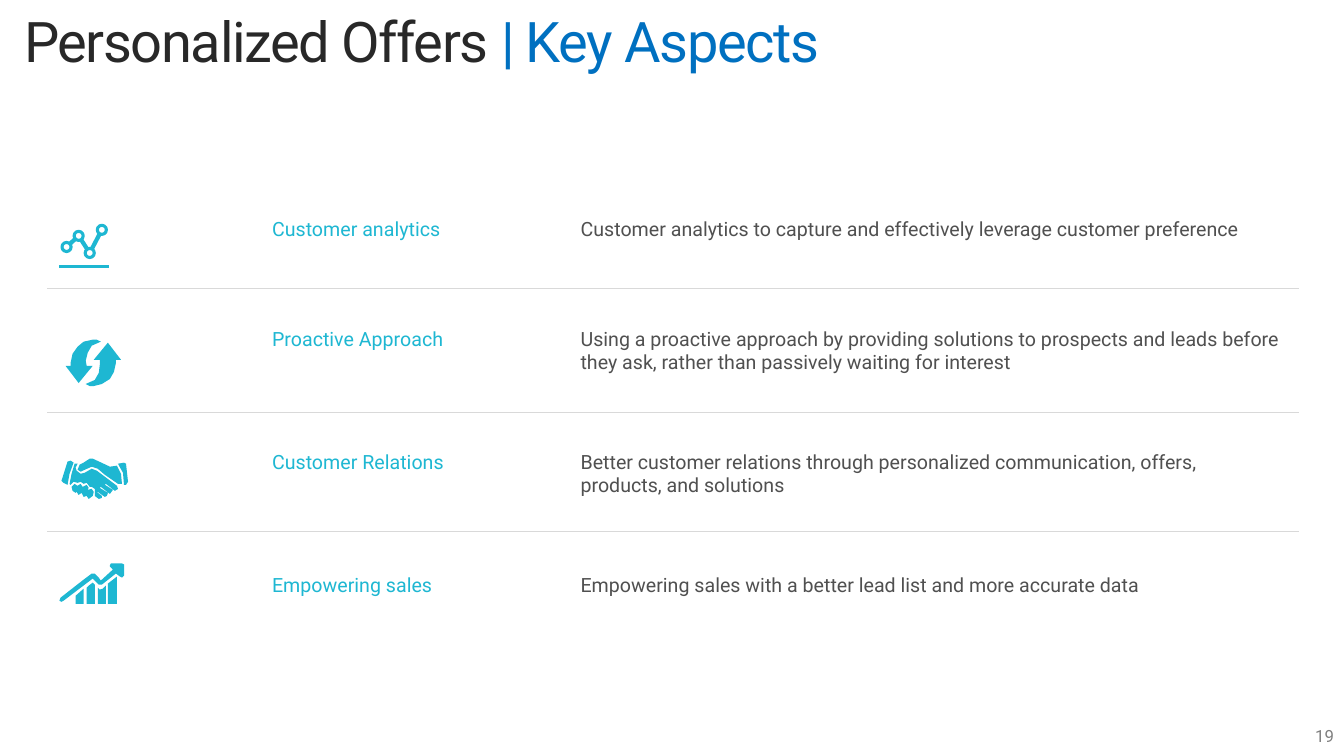
from pptx import Presentation
from pptx import util as u
from pptx.dml.color import RGBColor
from pptx.enum import shapes, text
from pptx.oxml.ns import qn
from lxml import etree

INK = {"head": "282828", "blue": "0070C0", "teal": "1EB7D2", "body": "505050",
       "rule": "D9D9D9", "page": "808080", "white": "FFFFFF"}

# Icon outlines, in hundredths of an inch from the icon's corner
TURN = [(21, 26), (20.5, 20.6), (21.6, 13.2), (25.9, 6.3), (35, 2), (31, 0.5), (27, 0),
        (18.5, 1.9), (11.5, 7), (6.8, 14.3), (5, 23), (5, 26), (0, 26), (13, 43), (27, 26)]
CYCLE = [TURN, [(55 - x, 46 - y) for x, y in TURN]]
HANDS = [
    # palm
    [(55, 27), (35, 12), (30, 10), (23, 14), (19, 15), (15, 12), (14, 9), (16, 5), (13, 5),
     (10, 15), (8, 25), (9, 26), (12, 23), (16, 24), (19, 23), (22, 25), (25, 24), (28, 28),
     (30, 28), (33, 30), (33, 37), (37, 40), (40, 39), (40, 37), (35, 33), (36, 33), (43, 38),
     (45, 37), (46, 34), (38, 29), (39, 28), (48, 35), (51, 31), (43, 26), (44, 25), (53, 32),
     (56, 30)],
    # upper hand
    [(48, 8), (46, 7), (31, 0), (28, 0), (22, 4), (18, 6), (16, 11), (19, 13), (21, 12),
     (30, 8), (36, 10), (43, 16), (56, 25), (60, 25), (59, 15), (55, 7)],
    # fingers
    [(30, 30), (26, 31), (27, 29), (25, 26), (21, 28), (19, 25), (16, 27), (13, 25), (10, 28),
     (11, 32), (14, 34), (15, 33), (17, 36), (20, 34), (22, 38), (25, 37), (27, 40), (31, 37),
     (32, 33)],
    # cuffs
    [(66, 23), (64, 5), (62, 4), (56, 5), (61, 14), (62, 26), (64, 26)],
    [(12, 4), (9, 2), (6, 3), (0, 22), (2, 24), (6, 26), (8, 15)],
]
GROWTH = [
    # bars
    [(16, 32), (16, 40), (24, 40), (24, 25)],
    [(27, 24), (27, 40), (35, 40), (35, 21), (33, 19), (29, 22)],
    [(38, 24), (38, 40), (46, 40), (46, 22), (43, 25), (40, 25.5)],
    [(48, 20), (48, 40), (57, 40), (57, 13)],
    # rising arrow
    [(64, 1), (62, 0), (51, 0), (50, 2), (50, 3), (53, 6), (41, 17), (39, 14), (35, 10),
     (32, 10), (24, 16), (1, 34), (0, 37), (2, 38), (4, 37), (33, 15), (39, 21), (42, 21),
     (56, 10), (60, 13), (62, 14), (64, 12)],
]
NODES = [(0.07, 0.23), (0.19, 0.12), (0.3, 0.29), (0.42, 0.06)]


def tint(name):
    return RGBColor.from_string(INK[name])


def write(slide, box, runs, size, frame=None, para=None, spc=None):
    area = slide.shapes.add_textbox(*map(u.Inches, box)).text_frame
    for key, val in {"word_wrap": True, **(frame or {})}.items():
        setattr(area, key, val)
    line = area.paragraphs[0]
    for key, val in (para or {}).items():
        setattr(line, key, val)
    for words, ink in runs:
        run = line.add_run()
        run.text = words
        for key, val in {"name": "Roboto", "size": u.Pt(size)}.items():
            setattr(run.font, key, val)
        run.font.color.rgb = tint(ink)
        if spc:
            run._r.get_or_add_rPr().set("spc", str(spc))


def rule(slide, start, end, ink, width):
    line = slide.shapes.add_connector(shapes.MSO_CONNECTOR.STRAIGHT,
                                      *map(u.Inches, (*start, *end)))
    line.line.color.rgb = tint(ink)
    line.line.width = u.Pt(width)
    etree.SubElement(line._element.spPr, qn("a:effectLst"))


def outline(slide, left, top, parts):
    for first, *rest in parts:
        pen = slide.shapes.build_freeform(*first, scale=u.Inches(0.01))
        pen.add_line_segments(rest, close=True)
        shape = pen.convert_to_shape(u.Inches(left), u.Inches(top))
        shape.shadow.inherit = False
        shape.fill.solid()
        shape.fill.fore_color.rgb = tint("teal")
        shape.line.fill.background()


def graph(slide, left, top):
    dots = [(left + x, top + y) for x, y in NODES]
    for start, end in zip(dots, dots[1:]):
        rule(slide, start, end, "teal", 3)
    for x, y in dots:
        dot = slide.shapes.add_shape(shapes.MSO_SHAPE.OVAL, u.Inches(x - 0.045),
                                     u.Inches(y - 0.045), u.Inches(0.09), u.Inches(0.09))
        dot.shadow.inherit = False
        dot.fill.solid()
        dot.fill.fore_color.rgb = tint("white")
        dot.line.color.rgb = tint("teal")
        dot.line.width = u.Pt(2.2)
    rule(slide, (left, top + 0.42), (left + 0.49, top + 0.42), "teal", 2.2)


def title(slide, box):
    write(slide, box, [("Personalized Offers ", "head"), ("| Key Aspects", "blue")], 40,
          {"vertical_anchor": text.MSO_ANCHOR.MIDDLE}, {"line_spacing": 0.9}, spc=-100)


def aspect(slide, left, top, name, words, width, tall, icon, spot):
    fit = {"auto_size": text.MSO_AUTO_SIZE.SHAPE_TO_FIT_TEXT}
    write(slide, (left + 2.13, top, 2.03, 0.34), [(name, "teal")], 14, fit)
    write(slide, (left + 5.19, top, width, tall), [(words, "body")], 14, fit)
    x, y = left + spot[0], top + spot[1]
    if icon:
        outline(slide, x, y, icon)
    else:
        graph(slide, x, y)


def table(slide, left, wide):
    # Each row: top, name, text, text width and height, icon, icon offset
    rows = [
        (2.1, "Customer analytics",
         "Customer analytics to capture and effectively leverage customer preference",
         7.19, 0.34, None, (0.12, 0.12)),
        (3.19, "Proactive Approach",
         "Using a proactive approach by providing solutions to prospects and leads before "
         "they ask, rather than passively waiting for interest",
         7.19, 0.57, CYCLE, (0.18, 0.18)),
        (4.41, "Customer Relations",
         "Better customer relations through personalized communication, offers, "
         "products, and solutions",
         6.96, 0.57, HANDS, (0.14, 0.14)),
        (5.63, "Empowering sales",
         "Empowering sales with a better lead list and more accurate data",
         6.96, 0.34, GROWTH, (0.12, -0.04)),
    ]
    for row in rows:
        aspect(slide, left, *row)
    for y in (2.86, 4.09, 5.27):
        rule(slide, (left, y), (left + wide, y), "rule", 0.75)


def number(slide, box):
    write(slide, box, [("19", "page")], 12, {"vertical_anchor": text.MSO_ANCHOR.MIDDLE},
          {"alignment": text.PP_ALIGN.RIGHT})


def main():
    deck = Presentation()
    deck.slide_width, deck.slide_height = u.Inches(13.33), u.Inches(7.5)
    slide = deck.slides.add_slide(deck.slide_layouts[6])
    table(slide, 0.47, 12.41)
    number(slide, (10.33, 7.1, 3, 0.4))
    title(slide, (0.14, -0.01, 13.2, 0.89))
    deck.save("out.pptx")


if __name__ == "__main__":
    main()
